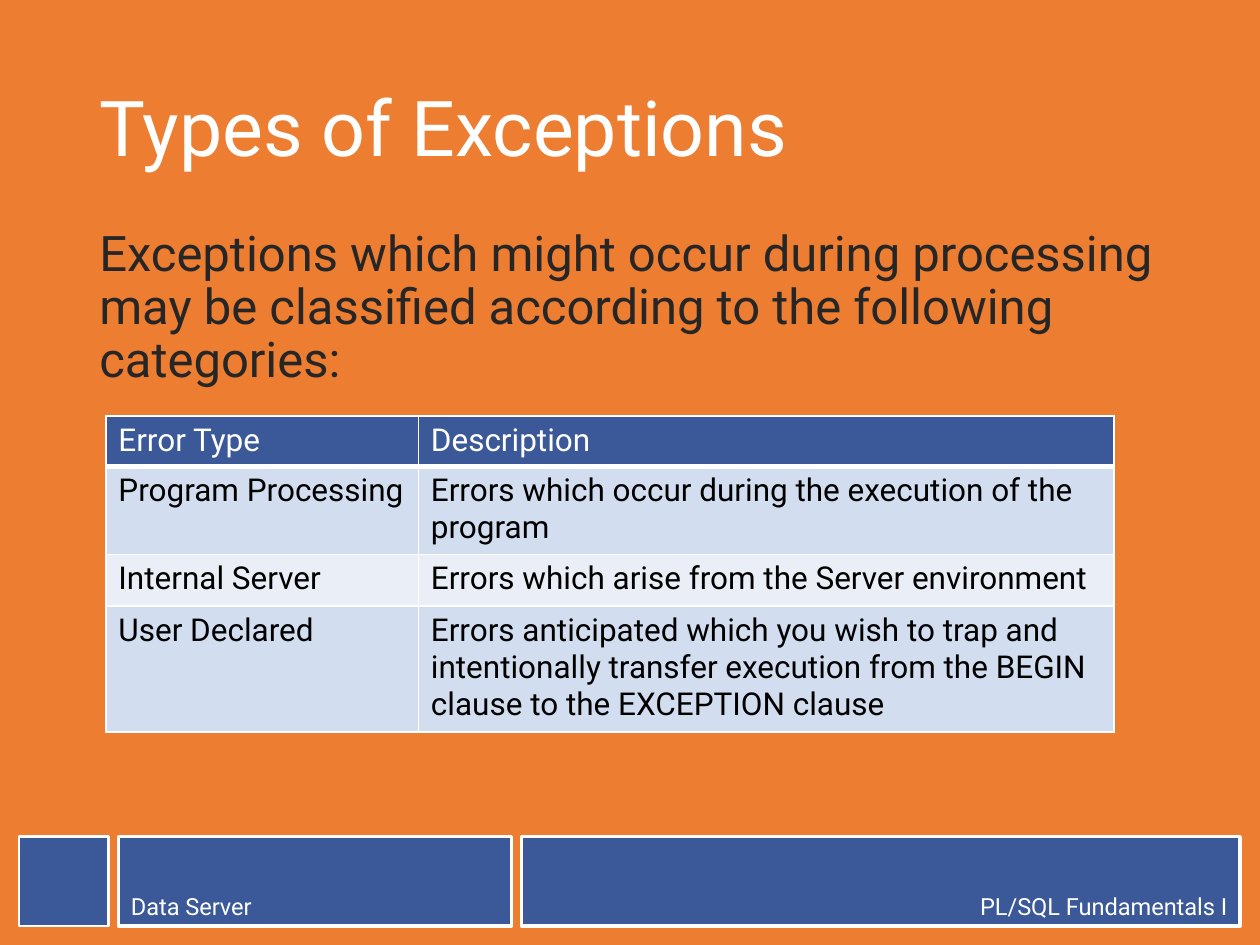
import pptx
import pptx.dml.color
import pptx.enum.shapes
import pptx.enum.text
import pptx.oxml.ns
import pptx.util
from lxml import etree
from pptx.util import Inches, Pt

FONT = "Roboto"
COLORS = {
    "background": "ED7D31",
    "blue": "3B5998",
    "white": "FFFFFF",
    "body": "262626",
    "black": "000000",
    "band_dark": "D2DEEF",
    "band_light": "EAEFF7",
}
ERROR_TYPES = [
    ("Error Type", "Description"),
    ("Program Processing", "Errors which occur during the execution of the program"),
    ("Internal Server", "Errors which arise from the Server environment"),
    ("User Declared", "Errors anticipated which you wish to trap and intentionally "
     "transfer execution from the BEGIN clause to the EXCEPTION clause"),
]
COLUMN_SHARES = [0.31, 0.69]
ROW_HEIGHTS = [0.4, 0.69, 0.41, 0.98]
ANCHOR = pptx.enum.text.MSO_ANCHOR
ALIGN = pptx.enum.text.PP_ALIGN


def rgb(name):
    return pptx.dml.color.RGBColor.from_string(COLORS[name])


def set_fill(target, color):
    target.fill.solid()
    target.fill.fore_color.rgb = rgb(color)


def write_text(frame, text, size, color, align=ALIGN.LEFT):
    paragraph = frame.paragraphs[0]
    paragraph.text = text
    paragraph.alignment = align
    paragraph.font.size = Pt(size)
    paragraph.font.name = FONT
    paragraph.font.color.rgb = rgb(color)
    return paragraph


def add_text(slide, left, top, width, height, text, size, color, anchor):
    frame = slide.shapes.add_textbox(
        Inches(left), Inches(top), Inches(width), Inches(height)).text_frame
    frame.word_wrap = True
    frame.vertical_anchor = anchor
    write_text(frame, text, size, color).line_spacing = 0.9


def add_footer(slide, left, top, width, height):
    """Place a square and two labelled bars side by side."""
    gap = 0.08
    label_width = 3.12
    label_left = height + gap
    course_left = label_left + label_width + gap
    bars = [
        (0, height, 1.5, "", ALIGN.LEFT),
        (label_left, label_width, 2, "Data Server", ALIGN.LEFT),
        (course_left, width - course_left, 2, "PL/SQL Fundamentals I", ALIGN.RIGHT),
    ]
    for offset, bar_width, line_width, text, align in bars:
        bar = slide.shapes.add_shape(
            pptx.enum.shapes.MSO_SHAPE.RECTANGLE,
            Inches(left + offset), Inches(top), Inches(bar_width), Inches(height))
        bar.shadow.inherit = False
        set_fill(bar, "blue")
        bar.line.color.rgb = rgb("white")
        bar.line.width = Pt(line_width)
        if text:
            bar.text_frame.vertical_anchor = ANCHOR.BOTTOM
            write_text(bar.text_frame, text, 13.5, "white", align)


def add_cell_borders(cell, widths):
    """Draw white borders; call before the fill, which must follow them in the XML."""
    properties = cell._tc.get_or_add_tcPr()
    for side, width in widths.items():
        line = etree.SubElement(
            properties, pptx.oxml.ns.qn(f"a:ln{side}"), w=str(Pt(width)))
        fill = etree.SubElement(line, pptx.oxml.ns.qn("a:solidFill"))
        etree.SubElement(fill, pptx.oxml.ns.qn("a:srgbClr"), val=COLORS["white"])


def add_error_table(slide, left, top, width):
    table = slide.shapes.add_table(
        len(ERROR_TYPES), len(COLUMN_SHARES), Inches(left), Inches(top),
        Inches(width), Inches(sum(ROW_HEIGHTS))).table
    for column, share in zip(table.columns, COLUMN_SHARES):
        column.width = Inches(width * share)
    for index, (texts, height) in enumerate(zip(ERROR_TYPES, ROW_HEIGHTS)):
        row = table.rows[index]
        row.height = Inches(height)
        if index == 0:
            fill, color = "blue", "white"
        else:
            fill, color = ("band_dark" if index % 2 else "band_light"), "black"
        borders = {"L": 1, "R": 1, "T": 3 if index == 1 else 1,
                   "B": 3 if index == 0 else 1}
        for cell, text in zip(row.cells, texts):
            add_cell_borders(cell, borders)
            set_fill(cell, fill)
            write_text(cell.text_frame, text, 18, color)


def main():
    presentation = pptx.Presentation()
    presentation.slide_width = Inches(10)
    presentation.slide_height = Inches(7.5)
    slide = presentation.slides.add_slide(presentation.slide_layouts[6])
    set_fill(slide.background, "background")
    add_footer(slide, 0.15, 6.64, 9.69, 0.71)
    add_text(slide, 0.69, 0.4, 8.62, 1.28, "Types of Exceptions",
             44, "white", ANCHOR.MIDDLE)
    add_text(slide, 0.69, 1.77, 8.62, 4.83,
             "Exceptions which might occur during processing may be classified "
             "according to the following categories:", 28, "body", ANCHOR.TOP)
    add_error_table(slide, 0.84, 3.3, 8)
    presentation.save("out.pptx")


if __name__ == "__main__":
    main()
